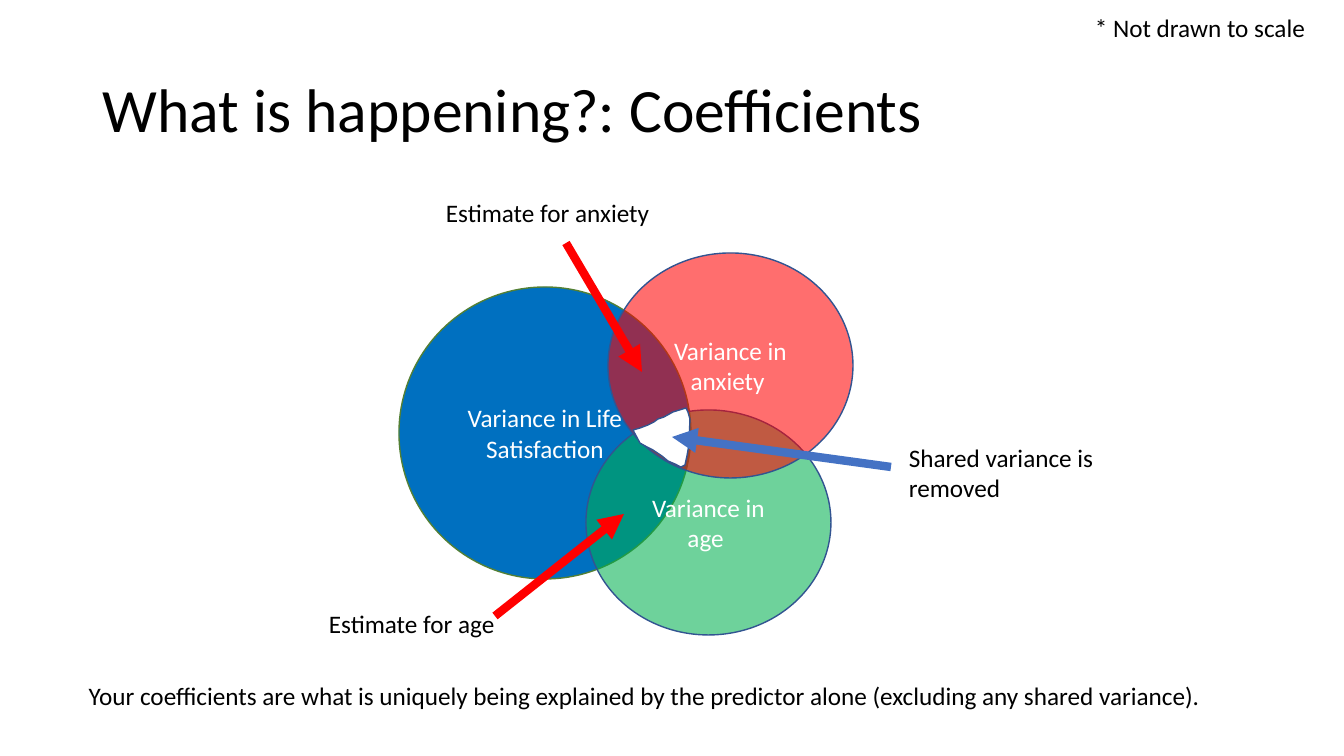
import pptx
import pptx.util
import pptx.dml.color
import pptx.enum.shapes
import pptx.enum.text
import pptx.oxml
import pptx.oxml.ns

PIXEL = 914400 / 100.8
COLORS = {
    "black": "000000", "white": "FFFFFF", "life": "0070C0", "life_line": "538035",
    "age": "00B050", "anxiety": "FF0000", "outline": "325491",
    "estimate": "FF0000", "shared": "4472C4",
}
ALIGN = pptx.enum.text.PP_ALIGN
ANCHOR = pptx.enum.text.MSO_ANCHOR
SHARED_OUTLINE = [
    (314, 238), (321, 236), (329, 233), (335, 230), (339, 227), (345, 225), (354, 220),
    (367, 216), (369, 220), (371, 227), (370, 253), (368, 264), (366, 273), (362, 275),
    (356, 272), (349, 269), (343, 264), (334, 258), (328, 255), (321, 251),
]


def emu(pixels):
    return pptx.util.Emu(round(pixels * PIXEL))


def color(name):
    return pptx.dml.color.RGBColor.from_string(COLORS[name])


def add_xml(parent, tag, **attributes):
    child = pptx.oxml.parse_xml(f"<a:{tag} {pptx.oxml.ns.nsdecls('a')}/>")
    for name, value in attributes.items():
        child.set(name, value)
    parent.append(child)


def write_text(shape, text, size=18, ink="black", align=ALIGN.LEFT, anchor=ANCHOR.TOP, spacing=1.0):
    frame = shape.text_frame
    frame.word_wrap = True
    frame.vertical_anchor = anchor
    paragraph = frame.paragraphs[0]
    paragraph.alignment = align
    paragraph.line_spacing = spacing
    run = paragraph.add_run()
    run.text = text
    run.font.name = "Calibri"
    run.font.size = pptx.util.Pt(size)
    run.font.color.rgb = color(ink)


def add_label(slide, box, text, **text_format):
    write_text(slide.shapes.add_textbox(*map(emu, box)), text, **text_format)


def paint(shape, fill, line, opacity=None):
    shape.shadow.inherit = False
    shape.fill.solid()
    shape.fill.fore_color.rgb = color(fill)
    if opacity:
        add_xml(shape.fill._xPr.find(".//" + pptx.oxml.ns.qn("a:srgbClr")),
                "alpha", val=str(opacity * 1000))
    shape.line.color.rgb = color(line)
    shape.line.width = pptx.util.Pt(1)


def add_circle(slide, box, text, fill, line="outline", opacity=None):
    circle = slide.shapes.add_shape(pptx.enum.shapes.MSO_SHAPE.OVAL, *map(emu, box))
    paint(circle, fill, line, opacity)
    write_text(circle, text, ink="white", align=ALIGN.CENTER, anchor=ANCHOR.MIDDLE)


def add_arrow(slide, start, end, ink):
    arrow = slide.shapes.add_connector(
        pptx.enum.shapes.MSO_CONNECTOR.STRAIGHT, *map(emu, start + end))
    arrow.line.color.rgb = color(ink)
    arrow.line.width = pptx.util.Pt(6)
    add_xml(arrow.line._get_or_add_ln(), "tailEnd", type="triangle")
    add_xml(arrow._element.spPr, "effectLst")


def add_shared_region(slide, left, top):
    builder = slide.shapes.build_freeform(*SHARED_OUTLINE[0], scale=PIXEL)
    builder.add_line_segments(SHARED_OUTLINE[1:], close=True)
    paint(builder.convert_to_shape(emu(left), emu(top)), "white", "outline")


def add_header(slide, left, top):
    add_label(slide, (left, top + 33, 1159, 146), "What is happening?: Coefficients",
              size=44, anchor=ANCHOR.MIDDLE, spacing=0.9)
    add_label(slide, (left + 992, top, 256, 40), "* Not drawn to scale")


def add_venn_diagram(slide, left, top):
    def place(x, y, *size):
        return (left + x, top + y, *size)

    add_circle(slide, place(80, 95, 292, 292), "Variance in Life Satisfaction", "life", "life_line")
    for x, y, predictor in [(267, 218, "age"), (289, 61, "anxiety")]:
        add_circle(slide, place(x, y, 245, 225), f"Variance in {predictor} ", predictor, opacity=57)
    add_shared_region(slide, left, top)
    for start, end, ink in [
        ((176, 424), (305, 322), "estimate"),
        ((247, 51), (323, 180), "estimate"),
        ((572, 275), (353, 245), "shared"),
    ]:
        add_arrow(slide, place(*start), place(*end), ink)
    for box, text in [
        ((0, 411, 216, 40), "Estimate for age"),
        ((117, 0, 254, 40), "Estimate for anxiety"),
        ((580, 245, 228, 72), "Shared variance is removed"),
    ]:
        add_label(slide, place(*box), text)


def add_conclusion(slide, box):
    add_label(slide, box, "Your coefficients are what is uniquely being explained by the "
              "predictor alone (excluding any shared variance). ", align=ALIGN.CENTER)


presentation = pptx.Presentation()
presentation.slide_width = emu(1344)
presentation.slide_height = emu(756)
slide = presentation.slides.add_slide(presentation.slide_layouts[6])
add_header(slide, 93, 7)
add_venn_diagram(slide, 319, 192)
add_conclusion(slide, (68, 675, 1159, 40))
presentation.save("out.pptx")
